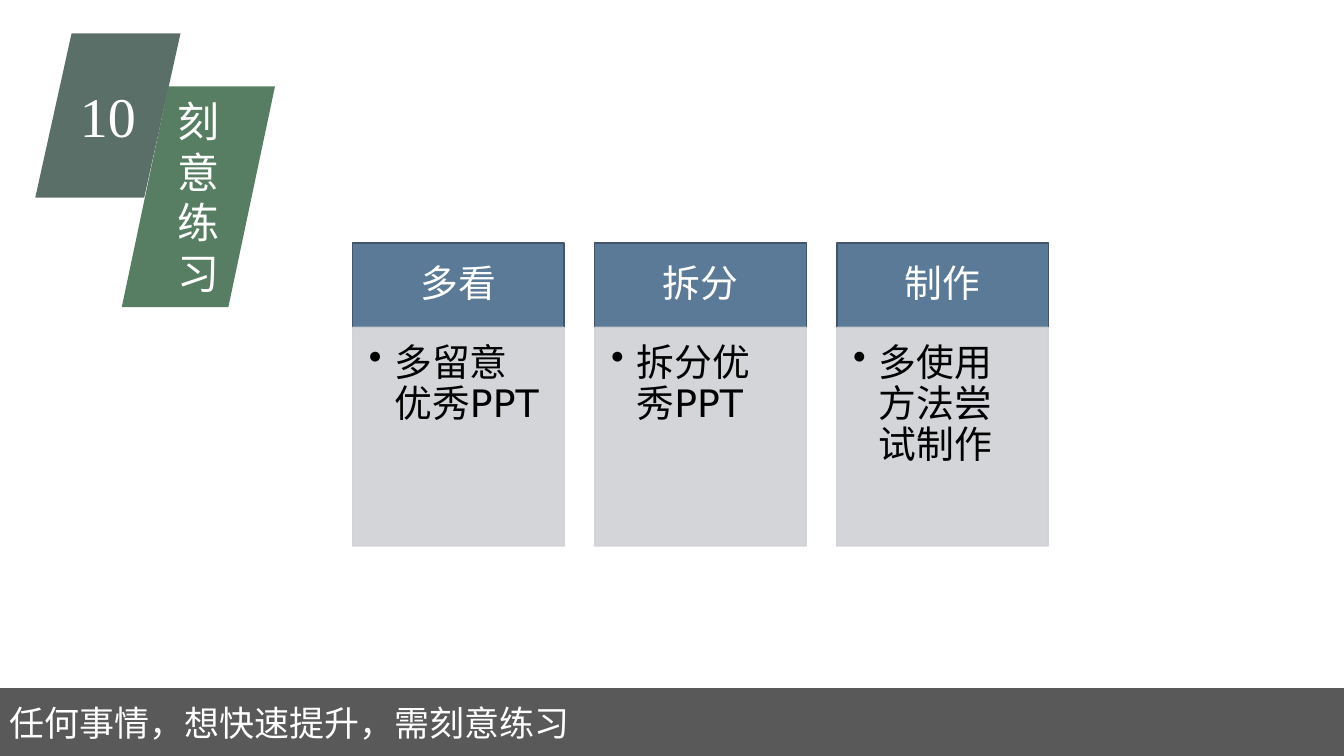
"""Build the slide on deliberate practice, with three step cards."""
from dataclasses import dataclass

from lxml import etree
from pptx import Presentation
from pptx.dml.color import RGBColor
from pptx.enum import lang, shapes, text
from pptx.oxml import ns
from pptx.util import Cm, Pt


@dataclass(frozen=True)
class Theme:
    slate: str = "5B6F69"
    green: str = "577E62"
    bar: str = "595959"
    blue: str = "5A7A97"
    navy: str = "44546A"
    pale: str = "CFD1D4"
    white: str = "FFFFFF"
    black: str = "000000"
    sans: str = "DejaVu Sans"
    serif: str = "Times New Roman"
    number: int = 40
    title: int = 30
    card: int = 27
    foot: int = 25


theme = Theme()
deck = Presentation()
deck.slide_width, deck.slide_height = Cm(33.87), Cm(19.05)
slide = deck.slides.add_slide(deck.slide_layouts[6])


def write(shape, words, size, color=theme.white, face=theme.sans,
          align=text.PP_ALIGN.CENTER, anchor=text.MSO_ANCHOR.MIDDLE,
          pads=(0.25, 0.13, 0.25, 0.13), space=1.0, bullet=False):
    frame = shape.text_frame
    frame.word_wrap = True
    frame.vertical_anchor = anchor
    (frame.margin_left, frame.margin_top,
     frame.margin_right, frame.margin_bottom) = map(Cm, pads)
    para = frame.paragraphs[0]
    para.alignment = align
    para.line_spacing = space
    if bullet:
        props = para._p.get_or_add_pPr()
        props.set("marL", str(Cm(0.64)))
        props.set("indent", str(Cm(-0.64)))
        etree.SubElement(props, ns.qn("a:buChar"), char="•")
    run = para.add_run()
    run.text = words
    run.font.size = Pt(size)
    run.font.name = face
    run.font.color.rgb = RGBColor.from_string(color)
    run.font.language_id = lang.MSO_LANGUAGE_ID.SIMPLIFIED_CHINESE
    etree.SubElement(run.font._element, ns.qn("a:ea"), typeface=face)


def block(kind, box, fill, line=None, alpha=None):
    shape = slide.shapes.add_shape(kind, *map(Cm, box))
    shape.shadow.inherit = False
    shape.fill.solid()
    shape.fill.fore_color.rgb = RGBColor.from_string(fill)
    if line:
        shape.line.color.rgb = RGBColor.from_string(line)
        shape.line.width = Pt(1)
    else:
        shape.line.fill.background()
    if alpha:
        for tone in shape._element.spPr.iter(ns.qn("a:srgbClr")):
            etree.SubElement(tone, ns.qn("a:alpha"), val=str(alpha * 1000))
    return shape


slant = shapes.MSO_SHAPE.PARALLELOGRAM
rect = shapes.MSO_SHAPE.RECTANGLE

badge = block(slant, (0.89, 0.84, 3.66, 4.14), theme.slate)
write(badge, "10", theme.number, face=theme.serif)

title = block(slant, (3.07, 2.18, 3.86, 5.56), theme.green)
title.adjustments[0] = 0.304
write(title, "刻意练习", theme.title)

foot = block(rect, (0, 17.34, 33.87, 1.71), theme.bar)
write(foot, "任何事情，想快速提升，需刻意练习", theme.foot, align=text.PP_ALIGN.LEFT)

left, top, step = 8.89, 6.12, 6.1
wide, head, body = 5.33, 2.13, 5.51
cards = [
    ("多看", "多留意优秀PPT"),
    ("拆分", "拆分优秀PPT"),
    ("制作", "多使用方法尝试制作"),
]
for i, (name, note) in enumerate(cards):
    x = left + i * step
    cap = block(rect, (x, top, wide, head), theme.blue, theme.navy)
    write(cap, name, theme.card, pads=(0.53, 0.3, 0.53, 0.3), space=0.9)
    panel = block(rect, (x, top + head, wide, body), theme.pale, theme.pale, 90)
    write(panel, note, theme.card, theme.black, align=text.PP_ALIGN.LEFT,
          anchor=text.MSO_ANCHOR.TOP, pads=(0.41, 0.41, 0.53, 0.61),
          space=0.9, bullet=True)

deck.save("out.pptx")
